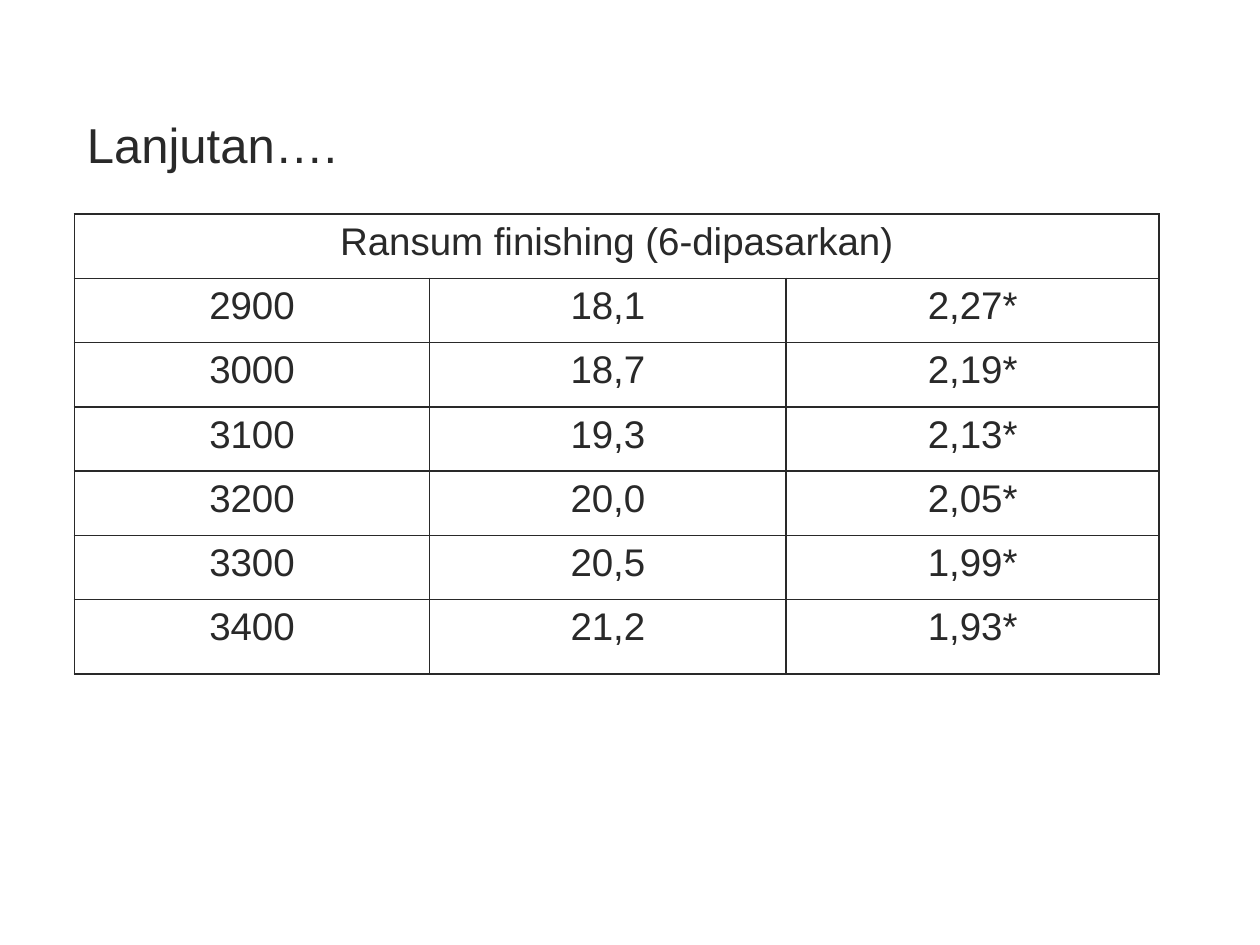
import pptx
import pptx.util
import pptx.dml.color
import pptx.enum.text
import pptx.oxml
import pptx.oxml.ns

INK = "292929"
PAPER = "FFFFFF"


def color(value):
    return pptx.dml.color.RGBColor.from_string(value)


class SlideBuilder:
    font = "Arial"

    def __init__(self, slide):
        self.slide = slide

    def add_text(self, text_frame, text, size, alignment):
        paragraph = text_frame.paragraphs[0]
        paragraph.alignment = alignment
        run = paragraph.add_run()
        run.text = text
        run.font.name = self.font
        run.font.size = pptx.util.Pt(size)
        run.font.color.rgb = color(INK)

    def title(self, text, left, top, width, height):
        shape = self.slide.shapes.title
        shape.left, shape.top = pptx.util.Inches(left), pptx.util.Inches(top)
        shape.width, shape.height = pptx.util.Inches(width), pptx.util.Inches(height)
        shape.text_frame.vertical_anchor = pptx.enum.text.MSO_ANCHOR.MIDDLE
        self.add_text(shape.text_frame, text, 28, pptx.enum.text.PP_ALIGN.LEFT)

    def border(self, cell):
        properties = cell._tc.get_or_add_tcPr()
        for position, side in enumerate(("lnL", "lnR", "lnT", "lnB")):
            properties.insert(position, pptx.oxml.parse_xml(
                f'<a:{side} {pptx.oxml.ns.nsdecls("a")} w="{pptx.util.Pt(1)}">'
                f'<a:solidFill><a:srgbClr val="{INK}"/></a:solidFill></a:{side}>'))

    def table(self, heading, records, left, top, widths, heights):
        frame = self.slide.shapes.add_table(
            len(heights), len(widths), pptx.util.Inches(left), pptx.util.Inches(top),
            pptx.util.Inches(sum(widths)), pptx.util.Inches(sum(heights)))
        table = frame.table
        table.first_row = table.horz_banding = False
        for column, width in zip(table.columns, widths):
            column.width = pptx.util.Inches(width)
        for row, height in zip(table.rows, heights):
            row.height = pptx.util.Inches(height)
        table.cell(0, 0).merge(table.cell(0, len(widths) - 1))
        for cell in table.iter_cells():
            cell.fill.solid()
            cell.fill.fore_color.rgb = color(PAPER)
            self.border(cell)
        for row_index, values in enumerate([(heading,), *records]):
            for column_index, value in enumerate(values):
                self.add_text(table.cell(row_index, column_index).text_frame,
                              value, 22, pptx.enum.text.PP_ALIGN.CENTER)


presentation = pptx.Presentation()
presentation.slide_width = pptx.util.Inches(10)
presentation.slide_height = pptx.util.Inches(7.5)
title_only = presentation.slide_layouts[5]
builder = SlideBuilder(presentation.slides.add_slide(title_only))

# Title
builder.title("Lanjutan….", 0.59, 0.84, 8.14, 0.6)

# Finishing ration table
rations = [
    ("2900", "18,1", "2,27*"),
    ("3000", "18,7", "2,19*"),
    ("3100", "19,3", "2,13*"),
    ("3200", "20,0", "2,05*"),
    ("3300", "20,5", "1,99*"),
    ("3400", "21,2", "1,93*"),
]
builder.table("Ransum finishing (6-dipasarkan)", rations, 0.59, 1.7,
              widths=[2.82, 2.83, 2.96], heights=[0.51] * 6 + [0.59])

presentation.save("out.pptx")
